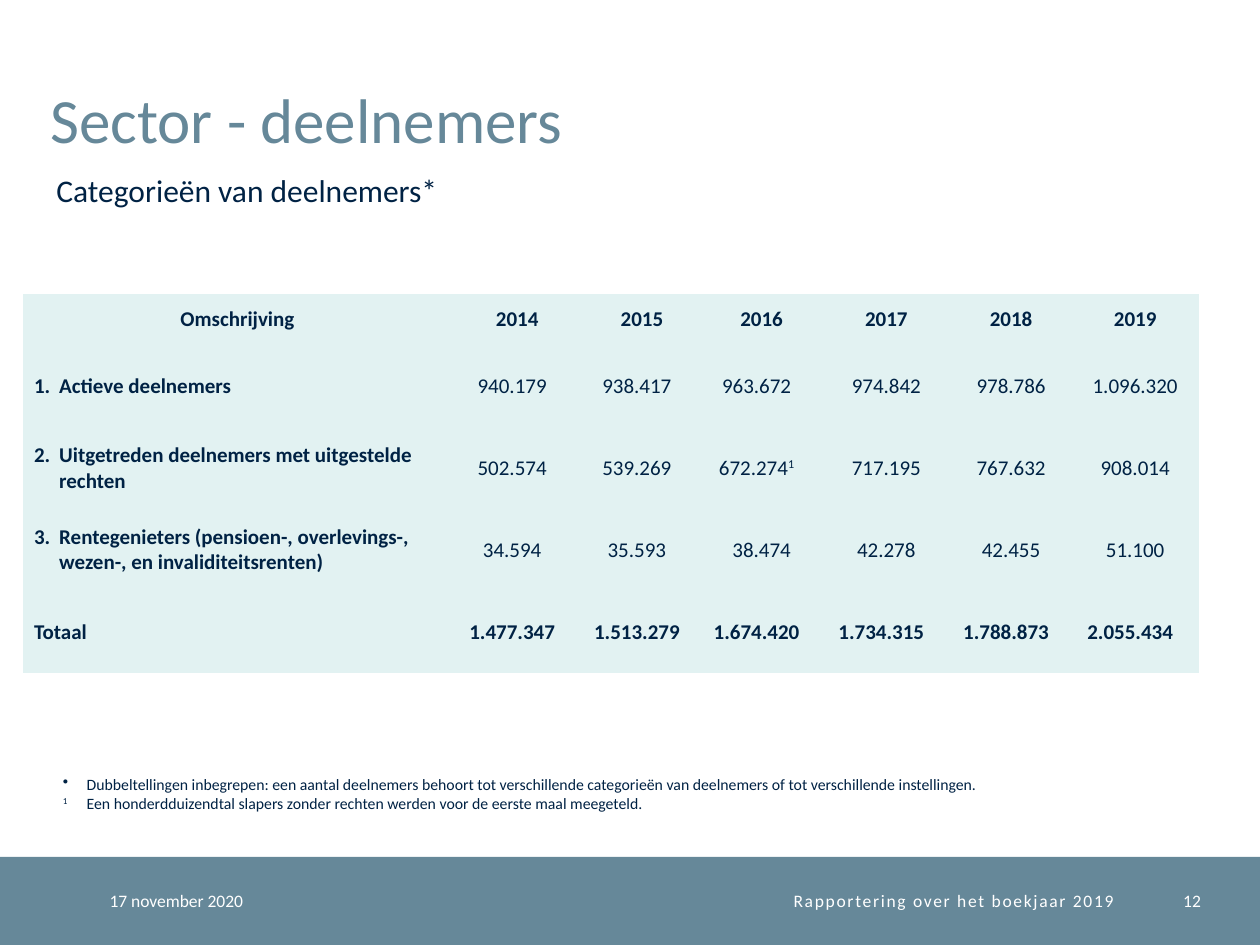
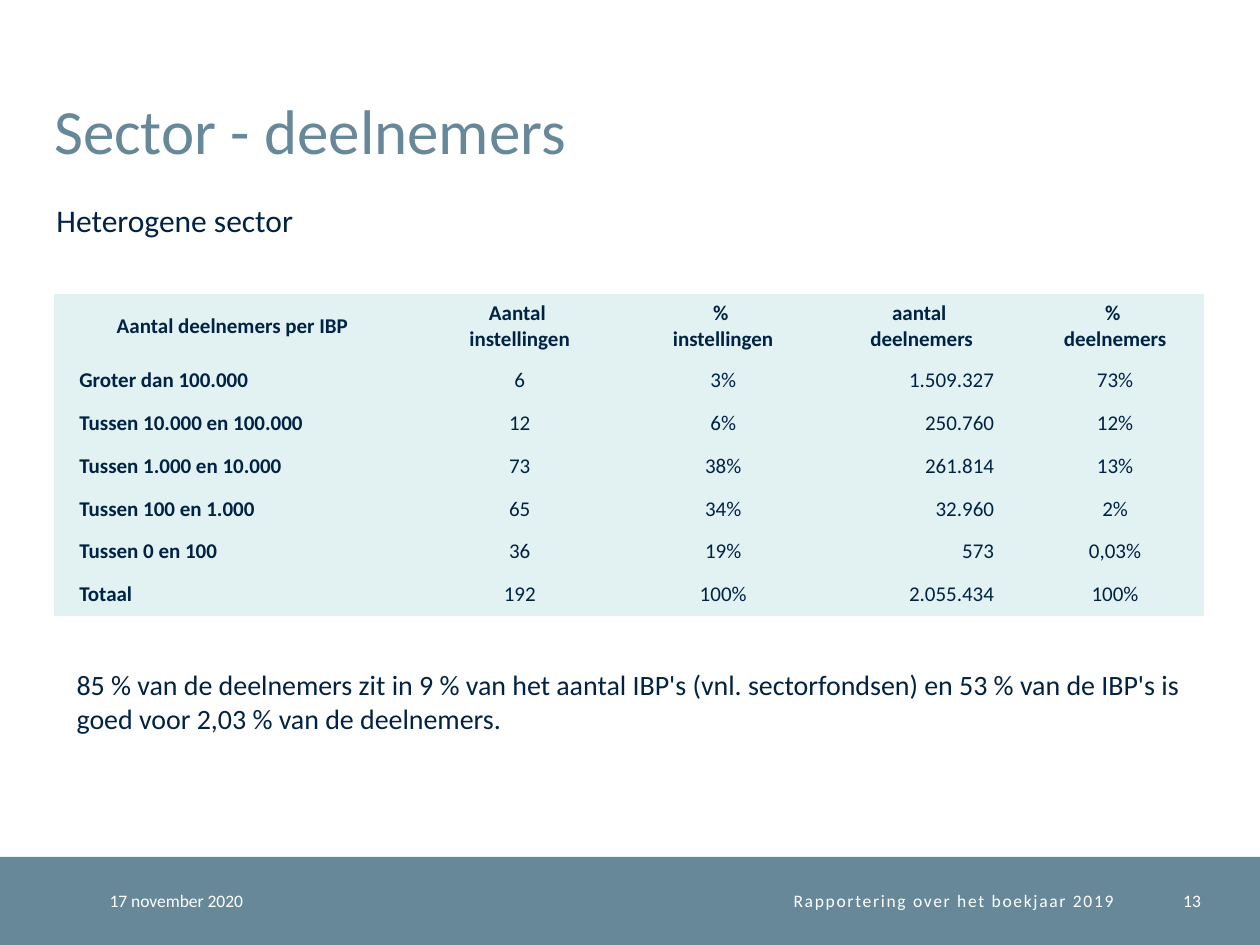
from dataclasses import dataclass
from typing import Any

import pptx
import pptx.dml.color
import pptx.enum.shapes
import pptx.enum.text
import pptx.oxml
import pptx.oxml.ns
import pptx.util

Inches = pptx.util.Inches
Align = pptx.enum.text.PP_ALIGN
Anchor = pptx.enum.text.MSO_ANCHOR
AutoSize = pptx.enum.text.MSO_AUTO_SIZE

COLORS = {"slate": "668899", "navy": "002244", "mist": "E2F2F2", "white": "FFFFFF"}
FONT = "Calibri"
PLAIN_TABLE_STYLE = "{2D5ABB26-0587-4C30-8999-92F81FD0307C}"
NO_MARGINS = {f"margin_{side}": 0 for side in ("left", "top", "right", "bottom")}
MIDDLE = {"vertical_anchor": Anchor.MIDDLE, **NO_MARGINS}
GROWING = {"word_wrap": True, "auto_size": AutoSize.SHAPE_TO_FIT_TEXT}


@dataclass(frozen=True)
class TextStyle:
    size: float
    color: str = "navy"
    bold: bool = False
    align: Any = None
    spacing: int = 0
    indent: float = 0
    hanging: float = 0
    bullet: str = ""


@dataclass(frozen=True)
class Label:
    text: str
    box: tuple[float, float, float, float]
    style: TextStyle
    frame: dict[str, Any]


@dataclass(frozen=True)
class ParticipantTable:
    left: float
    columns: list[float]
    row_heights: list[float]
    rows: list[list[str]]
    label_style: TextStyle
    bold_total: bool = False
    nudged_counts: tuple[int, ...] = ()
    right_column: int = -1


@dataclass(frozen=True)
class Page:
    number: int
    title_position: tuple[float, float]
    subtitle: Label
    table: ParticipantTable
    notes: list[Label]


HEADER = TextStyle(12, bold=True, align=Align.CENTER)
VALUE = TextStyle(12, align=Align.CENTER)
AMOUNT = TextStyle(12, align=Align.RIGHT)
SUBTITLE = TextStyle(18)
FOOTER = TextStyle(10, "white")
FOOTER_RIGHT = TextStyle(10, "white", align=Align.RIGHT)
FOOTER_SPACED = TextStyle(10, "white", align=Align.RIGHT, spacing=100)

PAGES = [
    Page(
        12,
        (0.4, 0.16),
        Label("Categorieën van deelnemers*", (0.35, 1.31, 3.7, 0.4), SUBTITLE, GROWING),
        ParticipantTable(
            0.18,
            [3.41, 1.03, 0.95, 0.95, 1.03, 0.95, 1.02],
            [0.41] + [0.65] * 4,
            [
                ["Omschrijving", "2014", "2015", "2016", "2017", "2018", "2019"],
                ["1.\tActieve deelnemers", "940.179", "938.417", "963.672",
                 "974.842", "978.786", "1.096.320"],
                ["2.\tUitgetreden deelnemers met uitgestelde rechten", "502.574",
                 "539.269", "672.274^1", "717.195", "767.632", "908.014"],
                ["3.\tRentegenieters (pensioen-, overlevings-, wezen-, en invaliditeitsrenten)",
                 "34.594", "35.593", "38.474", "42.278", "42.455", "51.100"],
                ["Totaal", "1.477.347", "1.513.279", "1.674.420",
                 "1.734.315", "1.788.873", "2.055.434"],
            ],
            TextStyle(12, bold=True, indent=0.29, hanging=0.2),
            bold_total=True,
            nudged_counts=(0, 3, 3, 2, 6),
        ),
        [
            Label(
                "Dubbeltellingen inbegrepen: een aantal deelnemers behoort tot verschillende "
                "categorieën van deelnemers of tot verschillende instellingen.\n"
                "^1^\tEen honderdduizendtal slapers zonder rechten werden voor de eerste "
                "maal meegeteld.",
                (0.4, 6.1, 9.37, 0.4),
                TextStyle(9, indent=0.19, hanging=0.19, bullet="•"),
                GROWING,
            )
        ],
    ),
    Page(
        13,
        (0.43, 0.25),
        Label("Heterogene sector", (0.35, 1.55, 3.23, 0.4), SUBTITLE, GROWING),
        ParticipantTable(
            0.43,
            [2.83, 1.73, 1.5, 1.65, 1.42],
            [0.52] + [0.34] * 6,
            [
                ["Aantal deelnemers per IBP", "Aantal \ninstellingen", "% \ninstellingen",
                 "aantal \ndeelnemers", "% \ndeelnemers"],
                ["Groter dan 100.000", "6", "3%", "1.509.327", "73%"],
                ["Tussen 10.000 en 100.000", "12", "6%", "250.760", "12%"],
                ["Tussen 1.000 en 10.000", "73", "38%", "261.814", "13%"],
                ["Tussen 100 en 1.000", "65", "34%", "32.960", "2%"],
                ["Tussen 0 en 100", "36", "19%", "573", "0,03%"],
                ["Totaal", "192", "100%", "2.055.434", "100%"],
            ],
            TextStyle(12, bold=True, indent=0.2),
            right_column=3,
        ),
        [
            Label(
                "85 % van de deelnemers zit in 9 % van het aantal IBP's (vnl. sectorfondsen) "
                "en 53 % van de IBP's is goed voor 2,03 % van de deelnemers.",
                (0.51, 5.25, 9.06, 0.64),
                TextStyle(16),
                GROWING,
            )
        ],
    ),
]


def apply_format(target: Any, values: dict[str, Any]) -> None:
    for name, value in values.items():
        setattr(target, name, value)


def rgb(name: str) -> Any:
    return pptx.dml.color.RGBColor.from_string(COLORS[name])


def paint(target: Any, color: str) -> None:
    target.fill.solid()
    target.fill.fore_color.rgb = rgb(color)


def write_text(text_frame: Any, text: str, style: TextStyle) -> None:
    for index, line in enumerate(text.split("\n")):
        paragraph = text_frame.add_paragraph() if index else text_frame.paragraphs[0]
        if style.indent:
            properties = paragraph._p.get_or_add_pPr()
            properties.set("marL", str(Inches(style.indent)))
            properties.set("indent", str(-Inches(style.hanging)))
            if style.bullet and not line.startswith("^"):
                bullet = pptx.oxml.parse_xml(
                    f'<a:buChar {pptx.oxml.ns.nsdecls("a")} char="{style.bullet}"/>'
                )
                properties.append(bullet)
        paragraph.alignment = style.align
        for part_index, part in enumerate(line.split("^")):
            if not part:
                continue
            run = paragraph.add_run()
            run.text = part
            apply_format(
                run.font,
                {"name": FONT, "size": pptx.util.Pt(style.size), "bold": style.bold},
            )
            run.font.color.rgb = rgb(style.color)
            if style.spacing:
                run.font._element.set("spc", str(style.spacing))
            if part_index % 2:
                run.font._element.set("baseline", "30000")


def add_label(slide: Any, label: Label) -> None:
    text_box = slide.shapes.add_textbox(*map(Inches, label.box))
    apply_format(text_box.text_frame, {"word_wrap": True, **label.frame})
    write_text(text_box.text_frame, label.text, label.style)


def set_title(slide: Any, position: tuple[float, float]) -> None:
    title = slide.shapes.title
    left, top = position
    apply_format(
        title,
        {"left": Inches(left), "top": Inches(top),
         "width": Inches(8.63), "height": Inches(1.08)},
    )
    apply_format(
        title.text_frame,
        {"auto_size": AutoSize.NONE, "vertical_anchor": Anchor.BOTTOM, **NO_MARGINS},
    )
    write_text(title.text_frame, "Sector - deelnemers",
               TextStyle(36, "slate", align=Align.LEFT))
    title.text_frame.paragraphs[0].line_spacing = pptx.util.Pt(32)


def add_band_to_master(presentation: Any, slide: Any) -> None:
    band = slide.shapes.add_shape(
        pptx.enum.shapes.MSO_SHAPE.RECTANGLE, 0, Inches(6.8), Inches(10), Inches(0.7)
    )
    paint(band, "slate")
    band.line.fill.background()
    band.shadow.inherit = False
    band.element.xpath("p:nvSpPr/p:cNvPr")[0].set("id", "20")
    presentation.slide_master.shapes.element.insert(2, band.element)


def add_footer(slide: Any, number: int) -> None:
    for text, left, width, style in (
        ("17 november 2020", 0.87, 1.77, FOOTER),
        ("Rapportering over het boekjaar 2019", 2.64, 6.2, FOOTER_SPACED),
        (str(number), 9.04, 0.49, FOOTER_RIGHT),
    ):
        add_label(slide, Label(text, (left, 6.8, width, 0.7), style, MIDDLE))


def cell_style(content: ParticipantTable, row: int, column: int) -> TextStyle:
    is_total = row == len(content.rows) - 1
    if row == 0 or (column and is_total and content.bold_total):
        return HEADER
    if column == 0:
        return content.label_style
    return AMOUNT if column == content.right_column else VALUE


def add_participant_table(slide: Any, content: ParticipantTable) -> None:
    frame = slide.shapes.add_table(
        len(content.rows), len(content.columns), Inches(content.left), Inches(2.33),
        Inches(sum(content.columns)), Inches(sum(content.row_heights)),
    )
    table = frame.table
    apply_format(table, {"first_row": False, "horz_banding": False})
    frame.element.xpath(".//a:tableStyleId")[0].text = PLAIN_TABLE_STYLE
    for column, width in zip(table.columns, content.columns):
        column.width = Inches(width)
    for row, height in zip(table.rows, content.row_heights):
        row.height = Inches(height)
    for row_index, values in enumerate(content.rows):
        nudged = content.nudged_counts[row_index] if content.nudged_counts else 0
        for column_index, text in enumerate(values):
            cell = table.cell(row_index, column_index)
            apply_format(cell, MIDDLE)
            if row_index and column_index == content.right_column:
                cell.margin_right = Inches(0.25)
            elif 1 <= column_index <= nudged:
                cell.margin_right = Inches(0.08)
            paint(cell, "mist")
            write_text(cell.text_frame, text, cell_style(content, row_index, column_index))


def main() -> None:
    presentation = pptx.Presentation()
    presentation.slide_width = Inches(10)
    presentation.slide_height = Inches(7.5)
    for index, page in enumerate(PAGES):
        slide = presentation.slides.add_slide(presentation.slide_layouts[5])
        if index == 0:
            add_band_to_master(presentation, slide)
        set_title(slide, page.title_position)
        add_footer(slide, page.number)
        add_label(slide, page.subtitle)
        add_participant_table(slide, page.table)
        for note in page.notes:
            add_label(slide, note)
    presentation.save("out.pptx")


if __name__ == "__main__":
    main()
